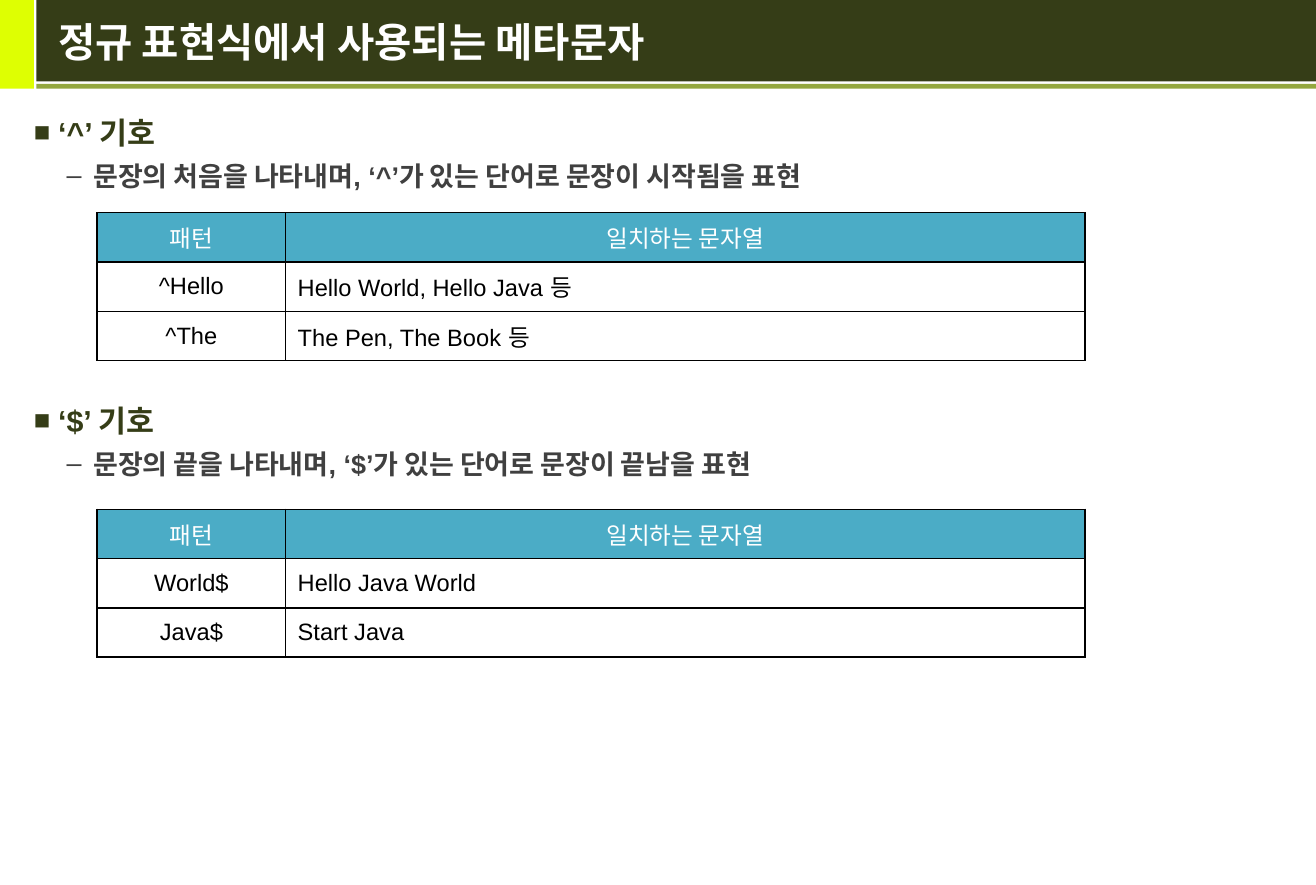
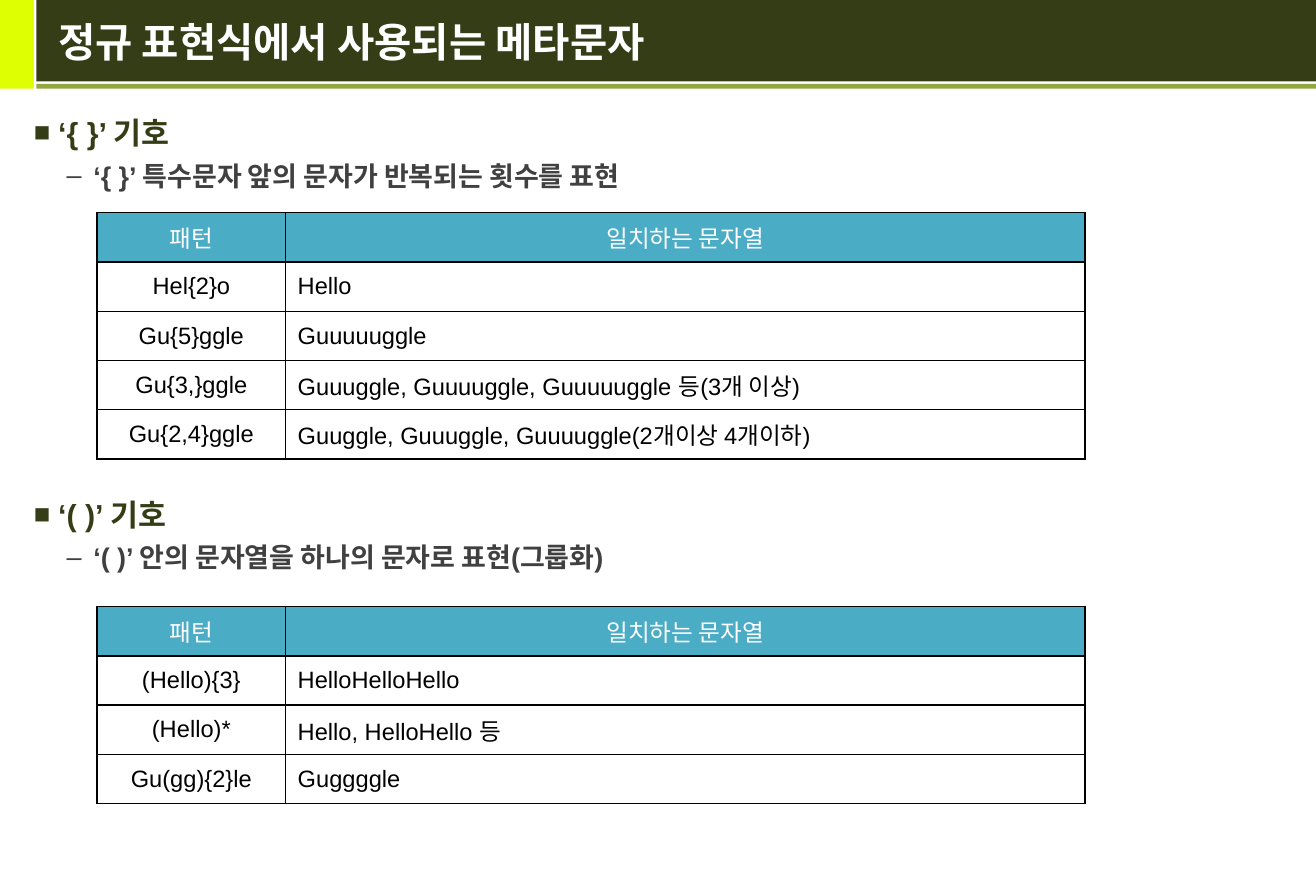
from dataclasses import dataclass

from pptx import Presentation
from pptx.dml.color import RGBColor
from pptx.enum.shapes import MSO_SHAPE
from pptx.enum.text import MSO_ANCHOR, PP_ALIGN
from pptx.oxml.ns import qn
from pptx.util import Inches, Pt
from lxml.etree import SubElement


@dataclass(frozen=True)
class Theme:
    lime: str = "DEFF02"
    dark_olive: str = "353D17"
    olive: str = "93A73F"
    gray: str = "404040"
    teal: str = "4BACC6"
    white: str = "FFFFFF"
    black: str = "000000"
    latin_font: str = "Arial"
    korean_font: str = "Noto Sans CJK KR"
    title_size: int = 24
    heading_size: int = 18
    detail_size: int = 16
    table_size: int = 14


THEME = Theme()
COLUMNS, ROWS = 1083, 728
CELL = Inches(0.01)
ROW_HEIGHT = 40.55
PATTERN_WIDTH = 155
TABLE_HEADER = ("패턴", "일치하는 문자열")
TITLE = "정규 표현식에서 사용되는 메타문자"


@dataclass(frozen=True)
class Box:
    left: float
    top: float
    width: float
    height: float

    def inner(self, left, top, width, height):
        return Box(self.left + left, self.top + top, width, height)

    def lengths(self):
        return [round(value * CELL) for value in (self.left, self.top, self.width, self.height)]


@dataclass(frozen=True)
class Section:
    heading: str
    detail: str
    top: int
    table_offset: int
    rows: tuple


SLIDES = (
    (
        Section("‘^’ 기호", "문장의 처음을 나타내며, ‘^’가 있는 단어로 문장이 시작됨을 표현", 89, 86, (
            ("^Hello", "Hello World, Hello Java 등"),
            ("^The", "The Pen, The Book 등"),
        )),
        Section("‘$’ 기호", "문장의 끝을 나타내며, ‘$’가 있는 단어로 문장이 끝남을 표현", 326, 93, (
            ("World$", "Hello Java World"),
            ("Java$", "Start Java"),
        )),
    ),
    (
        Section("‘{ }’ 기호", "‘{ }’ 특수문자 앞의 문자가 반복되는 횟수를 표현", 89, 86, (
            ("Hel{2}o", "Hello"),
            ("Gu{5}ggle", "Guuuuuggle"),
            ("Gu{3,}ggle", "Guuuggle, Guuuuggle, Guuuuuggle 등(3개 이상)"),
            ("Gu{2,4}ggle", "Guuggle, Guuuggle, Guuuuggle(2개이상 4개이하)"),
        )),
        Section("‘( )’ 기호", "‘( )’ 안의 문자열을 하나의 문자로 표현(그룹화)", 403, 96, (
            ("(Hello){3}", "HelloHelloHello"),
            ("(Hello)*", "Hello, HelloHello 등"),
            ("Gu(gg){2}le", "Guggggle"),
        )),
    ),
)


def write_text(paragraph, text, *, size, color, bold=False, font=THEME.latin_font,
               align=PP_ALIGN.LEFT, space_before=0):
    paragraph.alignment = align
    paragraph.space_before = Pt(space_before)
    run = paragraph.add_run()
    run.text = text
    run.font.size = Pt(size)
    run.font.bold = bold
    run.font.name = font
    run.font.color.rgb = RGBColor.from_string(color)
    SubElement(run.font._element, qn("a:ea"), typeface=THEME.korean_font)


def add_bullet(paragraph, character, *, color, margin, hanging, percent=100):
    properties = paragraph._p.get_or_add_pPr()
    properties.set("marL", str(Inches(margin)))
    properties.set("indent", str(-Inches(hanging)))
    bullet_color = SubElement(properties, qn("a:buClr"))
    SubElement(bullet_color, qn("a:srgbClr"), val=color)
    SubElement(properties, qn("a:buSzPct"), val=str(percent * 1000))
    SubElement(properties, qn("a:buFont"), typeface=THEME.latin_font)
    SubElement(properties, qn("a:buChar"), char=character)


def add_text_frame(slide, box, anchor=MSO_ANCHOR.TOP):
    frame = slide.shapes.add_textbox(*box.lengths()).text_frame
    frame.word_wrap = True
    frame.vertical_anchor = anchor
    return frame


def add_band(slide, box, color):
    band = slide.shapes.add_shape(MSO_SHAPE.RECTANGLE, *box.lengths())
    band.shadow.inherit = False
    band.fill.solid()
    band.fill.fore_color.rgb = RGBColor.from_string(color)
    band.line.fill.background()


def add_header(slide, box, title):
    bar_left = 30
    bar_width = box.width - bar_left
    add_band(slide, box.inner(0, 0, 28, box.height), THEME.lime)
    add_band(slide, box.inner(bar_left, 0, bar_width, 67), THEME.dark_olive)
    add_band(slide, box.inner(bar_left, 69, bar_width, 4), THEME.olive)
    frame = add_text_frame(slide, box.inner(38, 0, 1032, 68), MSO_ANCHOR.MIDDLE)
    write_text(frame.paragraphs[0], title, size=THEME.title_size, color=THEME.white,
               bold=True, font=THEME.korean_font)


def set_borders(cell, color):
    properties = cell._tc.get_or_add_tcPr()
    for position, side in enumerate(("lnL", "lnR", "lnT", "lnB")):
        line = SubElement(properties, qn(f"a:{side}"), w=str(Pt(1)))
        fill = SubElement(line, qn("a:solidFill"))
        SubElement(fill, qn("a:srgbClr"), val=color)
        properties.insert(position, line)


def add_pattern_table(slide, box, rows):
    table = slide.shapes.add_table(len(rows), 2, *box.lengths()).table
    widths = (PATTERN_WIDTH, box.width - PATTERN_WIDTH)
    for column, width in zip(table.columns, widths):
        column.width = round(width * CELL)
    for row_index, values in enumerate(rows):
        table.rows[row_index].height = round(ROW_HEIGHT * CELL)
        is_header = row_index == 0
        for column_index, value in enumerate(values):
            cell = table.cell(row_index, column_index)
            cell.vertical_anchor = MSO_ANCHOR.MIDDLE
            cell.fill.solid()
            cell.fill.fore_color.rgb = RGBColor.from_string(
                THEME.teal if is_header else THEME.white)
            set_borders(cell, THEME.black)
            centered = is_header or column_index == 0
            write_text(cell.text_frame.paragraphs[0], value, size=THEME.table_size,
                       color=THEME.white if is_header else THEME.black,
                       align=PP_ALIGN.CENTER if centered else PP_ALIGN.LEFT)


def add_section(slide, box, section):
    frame = add_text_frame(slide, box.inner(0, 0, box.width, 85))
    heading = frame.paragraphs[0]
    write_text(heading, section.heading, size=THEME.heading_size,
               color=THEME.dark_olive, bold=True)
    add_bullet(heading, "■", color=THEME.dark_olive, margin=0.2, hanging=0.2, percent=90)
    detail = frame.add_paragraph()
    write_text(detail, section.detail, size=THEME.detail_size, color=THEME.gray,
               bold=True, space_before=5)
    add_bullet(detail, "–", color=THEME.gray, margin=0.49, hanging=0.22)
    rows = (TABLE_HEADER, *section.rows)
    table_box = box.inner(62, section.table_offset, 813, ROW_HEIGHT * len(rows))
    add_pattern_table(slide, table_box, rows)


def add_metacharacter_slide(presentation, sections):
    slide = presentation.slides.add_slide(presentation.slide_layouts[6])
    add_header(slide, Box(0, 0, COLUMNS, 73), TITLE)
    for section in sections:
        add_section(slide, Box(18, section.top, 1035, ROWS - section.top), section)


def main():
    presentation = Presentation()
    presentation.slide_width = COLUMNS * CELL
    presentation.slide_height = ROWS * CELL
    for sections in SLIDES:
        add_metacharacter_slide(presentation, sections)
    presentation.save("out.pptx")


if __name__ == "__main__":
    main()
